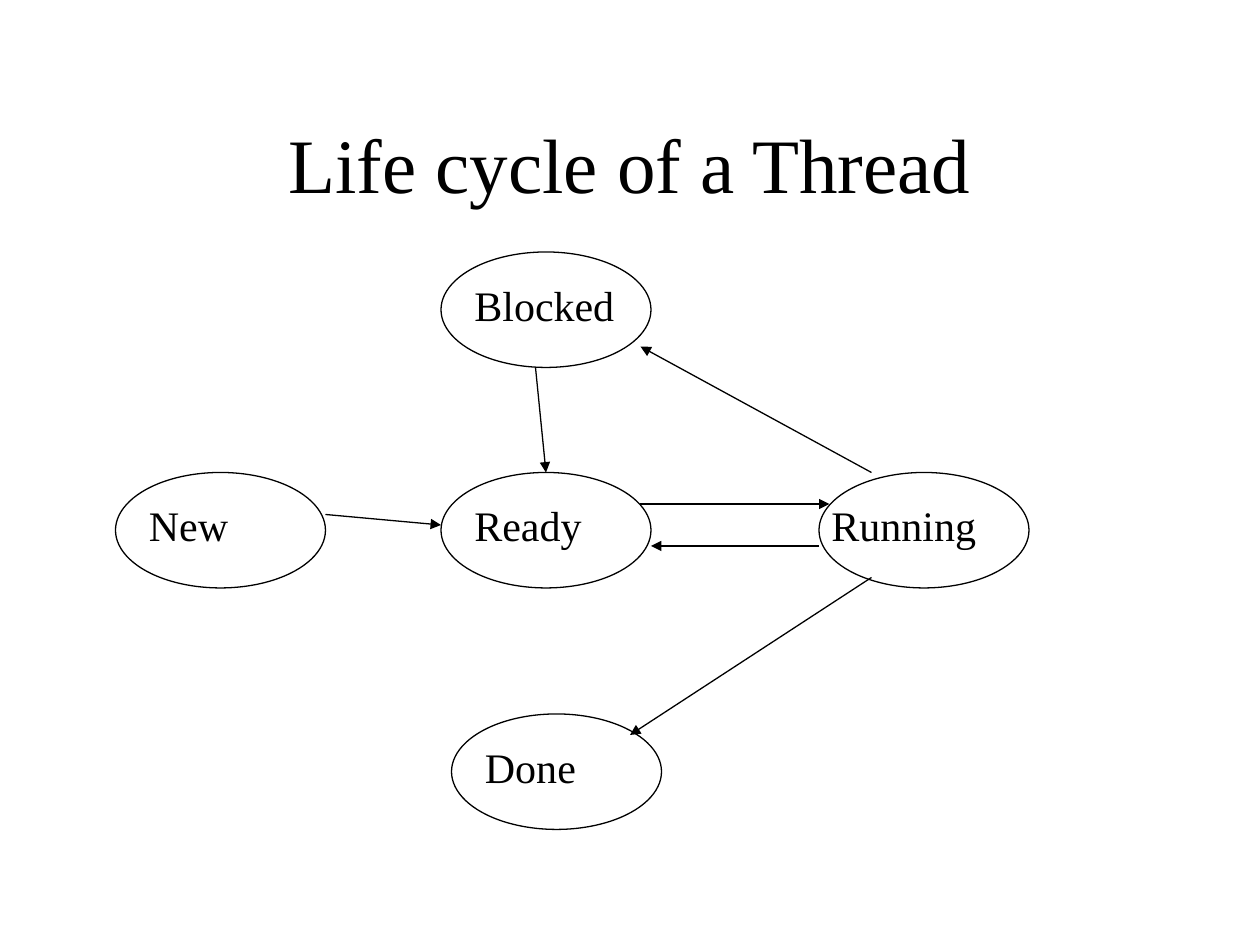
import pptx
import pptx.dml.color
import pptx.enum.shapes
import pptx.enum.text
import pptx.oxml.ns
import pptx.util
from lxml import etree

Pt = pptx.util.Pt
BLACK = pptx.dml.color.RGBColor(0, 0, 0)
FONT = "Times New Roman"
LINE_WIDTH = 0.75
STATE_WIDTH, STATE_HEIGHT = 120, 66
LABEL_TOP, LABEL_HEIGHT = 12, 36

STATES = {
    "New": {"origin": (0, 126), "indent": 12, "label_width": 61},
    "Ready": {"origin": (186, 126), "indent": 12, "label_width": 77},
    "Blocked": {"origin": (186, 0), "indent": 12, "label_width": 95},
    "Running": {"origin": (402, 126), "indent": 0, "label_width": 98},
    "Done": {"origin": (192, 264), "indent": 12, "label_width": 68},
}

TRANSITIONS = [
    ("New", (120, 24), "Ready", (0, 30)),
    ("Running", (30, 0), "Blocked", (114, 54)),
    ("Blocked", (54, 66), "Ready", (60, 0)),
    ("Ready", (114, 18), "Running", (6, 18)),
    ("Running", (0, 42), "Ready", (120, 42)),
    ("Running", (30, 60), "Done", (102, 12)),
]


def format_text(text_frame, size):
    """Format every run of a text frame."""
    for paragraph in text_frame.paragraphs:
        for run in paragraph.runs:
            run.font.name = FONT
            run.font.size = Pt(size)
            run.font.color.rgb = BLACK


def add_title(slide, left, top, width, height):
    """Place and format the slide title."""
    title = slide.shapes.title
    title.left, title.top, title.width, title.height = map(Pt, (left, top, width, height))
    text_frame = title.text_frame
    text_frame.text = "Life cycle of a Thread"
    text_frame.vertical_anchor = pptx.enum.text.MSO_ANCHOR.MIDDLE
    text_frame.paragraphs[0].alignment = pptx.enum.text.PP_ALIGN.CENTER
    format_text(text_frame, 44)


def add_state(slide, left, top):
    """Draw the outline of one state."""
    ellipse = slide.shapes.add_shape(
        pptx.enum.shapes.MSO_SHAPE.OVAL,
        Pt(left), Pt(top), Pt(STATE_WIDTH), Pt(STATE_HEIGHT))
    ellipse.shadow.inherit = False
    ellipse.fill.background()
    ellipse.line.color.rgb = BLACK
    ellipse.line.width = Pt(LINE_WIDTH)


def add_label(slide, name, left, top, width):
    """Write the name of one state."""
    label = slide.shapes.add_textbox(Pt(left), Pt(top), Pt(width), Pt(LABEL_HEIGHT))
    text_frame = label.text_frame
    text_frame.text = name
    text_frame.word_wrap = False
    text_frame.auto_size = pptx.enum.text.MSO_AUTO_SIZE.SHAPE_TO_FIT_TEXT
    format_text(text_frame, 24)


def add_arrow(slide, start, end):
    """Draw a straight arrow between two points."""
    arrow = slide.shapes.add_connector(
        pptx.enum.shapes.MSO_CONNECTOR.STRAIGHT, *map(Pt, (*start, *end)))
    arrow.line.color.rgb = BLACK
    arrow.line.width = Pt(LINE_WIDTH)
    qualify = pptx.oxml.ns.qn
    properties = arrow.element.spPr
    etree.SubElement(properties.find(qualify("a:ln")), qualify("a:tailEnd"), type="triangle")
    etree.SubElement(properties, qualify("a:effectLst"))


def add_life_cycle(slide, left, top):
    """Draw the state diagram from its top left corner."""
    def point_on(name, offset):
        """Return a slide position from an offset within a state."""
        state_left, state_top = STATES[name]["origin"]
        return left + state_left + offset[0], top + state_top + offset[1]

    for name in STATES:
        add_state(slide, *point_on(name, (0, 0)))
    for source, start, target, end in TRANSITIONS:
        add_arrow(slide, point_on(source, start), point_on(target, end))
    for name, state in STATES.items():
        label_position = point_on(name, (state["indent"], LABEL_TOP))
        add_label(slide, name, *label_position, state["label_width"])


def main():
    """Build and save the presentation."""
    presentation = pptx.Presentation()
    presentation.slide_width, presentation.slide_height = Pt(720), Pt(540)
    slide = presentation.slides.add_slide(presentation.slide_layouts.get_by_name("Title Only"))
    add_title(slide, 54, 48, 612, 90)
    add_life_cycle(slide, 66, 144)
    presentation.save("out.pptx")


if __name__ == "__main__":
    main()
